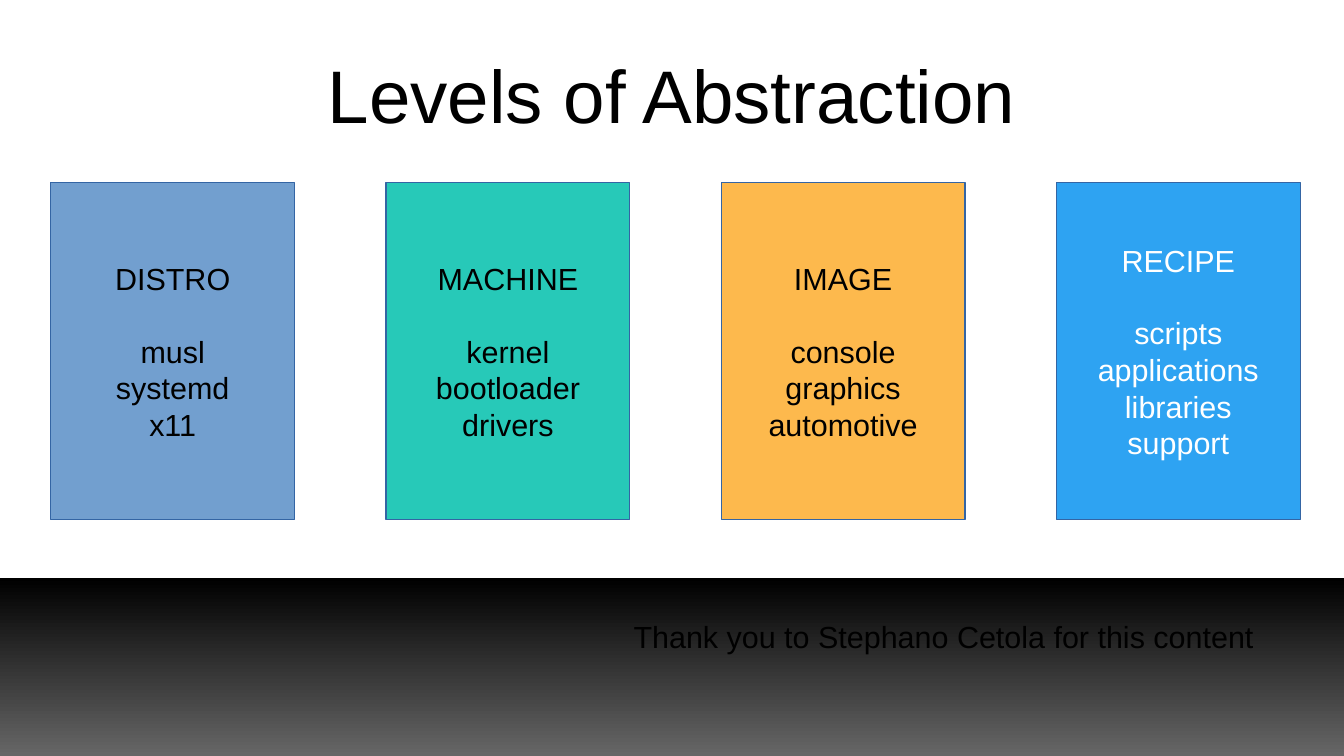
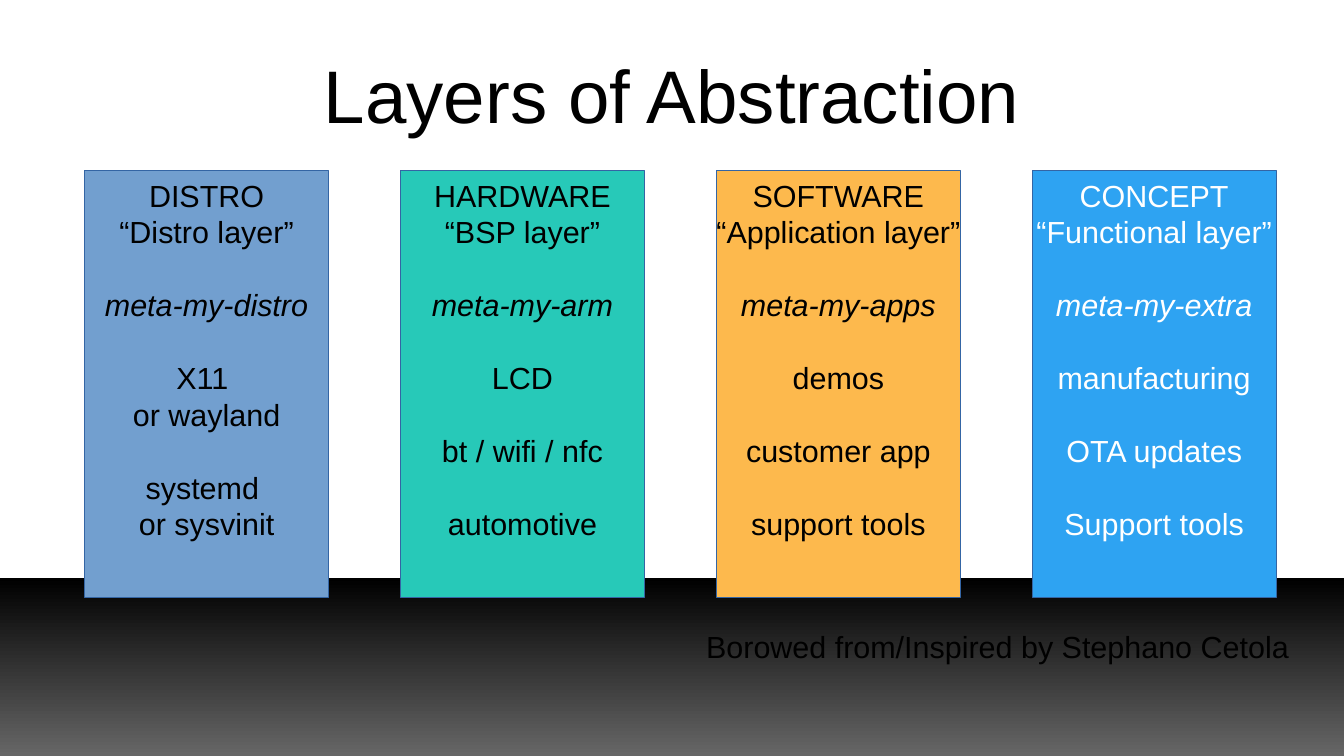
import pptx
import pptx.util
import pptx.dml.color
import pptx.enum.shapes
import pptx.enum.text

Pt = pptx.util.Pt
ALIGN = pptx.enum.text.PP_ALIGN
ANCHOR = pptx.enum.text.MSO_ANCHOR
RECTANGLE = pptx.enum.shapes.MSO_SHAPE.RECTANGLE

# Shared look
COLORS = {
    "black": "000000", "white": "FFFFFF", "gray": "666666", "outline": "3465A4",
    "blue": "729FCF", "teal": "27C9B8", "orange": "FDB94D", "sky": "2EA3F2",
}
COLUMN_STYLES = [("blue", "black"), ("teal", "black"), ("orange", "black"), ("sky", "white")]
FONT = "Arial"
BODY_SIZE, TITLE_SIZE = 18, 44
GROUP_GAP = 21.5
SLIDE_WIDTH, SLIDE_HEIGHT = 793.5, 446.5
BAND_TOP = 341.3
COLUMN_WIDTH = 144
CREDIT_WIDTH = 390

# Each column is a list of text groups, set apart by a gap
SLIDES = [
    {
        "title": "Levels of Abstraction",
        "left": 30, "top": 108, "step": 197.9, "height": 198.8, "anchor": ANCHOR.MIDDLE,
        "columns": [
            [["DISTRO"], ["musl", "systemd", "x11"]],
            [["MACHINE"], ["kernel", "bootloader", "drivers"]],
            [["IMAGE"], ["console", "graphics", "automotive"]],
            [["RECIPE"], ["scripts", "applications", "libraries", "support"]],
        ],
        "credit": "Thank you to Stephano Cetola for this content",
        "credit_right": 747.4, "credit_top": 361.4,
    },
    {
        "title": "Layers of Abstraction",
        "left": 50, "top": 100.8, "step": 186.5, "height": 252, "anchor": ANCHOR.TOP,
        "columns": [
            [["DISTRO", "“Distro layer”"], ["meta-my-distro"],
             ["X11 ", "or wayland"], ["systemd ", "or sysvinit"]],
            [["HARDWARE", "“BSP layer”"], ["meta-my-arm"],
             ["LCD"], ["bt / wifi / nfc"], ["automotive"]],
            [["SOFTWARE", "“Application layer”"], ["meta-my-apps"],
             ["demos"], ["customer app"], ["support tools"]],
            [["CONCEPT", "“Functional layer”"], ["meta-my-extra"],
             ["manufacturing"], ["OTA updates"], ["Support tools"]],
        ],
        "credit": "Borowed from/Inspired by Stephano Cetola",
        "credit_right": 768.2, "credit_top": 367.2,
    },
]


def rgb(name):
    return pptx.dml.color.RGBColor.from_string(COLORS[name])


def write_text(box, groups, size, color, align, anchor, wrap):
    frame = box.text_frame
    frame.word_wrap = wrap
    frame.vertical_anchor = anchor
    frame.text = "\n".join(line for group in groups for line in group)
    paragraphs = iter(frame.paragraphs)
    for group_index, group in enumerate(groups):
        for line_index, line in enumerate(group):
            para = next(paragraphs)
            para.alignment = align
            if group_index and not line_index:
                para.space_before = Pt(GROUP_GAP)
            font = para.runs[0].font
            font.name, font.size = FONT, Pt(size)
            font.color.rgb = rgb(color)
            font.italic = line.startswith("meta-")


deck = pptx.Presentation()
deck.slide_width, deck.slide_height = Pt(SLIDE_WIDTH), Pt(SLIDE_HEIGHT)

for content in SLIDES:
    page = deck.slides.add_slide(deck.slide_layouts[6])

    # Gradient band at the bottom
    band = page.shapes.add_shape(RECTANGLE, 0, Pt(BAND_TOP), Pt(SLIDE_WIDTH),
                                 Pt(SLIDE_HEIGHT - BAND_TOP))
    band.shadow.inherit = False
    band.line.fill.background()
    band.fill.gradient()
    band.fill.gradient_angle = 270
    for stop, color in zip(band.fill.gradient_stops, ("black", "gray")):
        stop.color.rgb = rgb(color)

    # Title
    title = page.shapes.add_textbox(Pt(39.6), Pt(18), Pt(714.3), Pt(74.2))
    write_text(title, [[content["title"]]], TITLE_SIZE, "black",
               ALIGN.CENTER, ANCHOR.MIDDLE, True)

    # Coloured columns
    for index, (groups, (fill, ink)) in enumerate(zip(content["columns"], COLUMN_STYLES)):
        column = page.shapes.add_shape(
            RECTANGLE, Pt(content["left"] + index * content["step"]), Pt(content["top"]),
            Pt(COLUMN_WIDTH), Pt(content["height"]))
        column.shadow.inherit = False
        column.fill.solid()
        column.fill.fore_color.rgb = rgb(fill)
        column.line.color.rgb = rgb("outline")
        column.line.width = Pt(0)
        write_text(column, groups, BODY_SIZE, ink, ALIGN.CENTER, content["anchor"], False)

    # Credit line
    credit = page.shapes.add_textbox(Pt(content["credit_right"] - CREDIT_WIDTH),
                                     Pt(content["credit_top"]), Pt(CREDIT_WIDTH), Pt(27.4))
    write_text(credit, [[content["credit"]]], BODY_SIZE, "black",
               ALIGN.RIGHT, ANCHOR.TOP, True)

deck.save("out.pptx")
